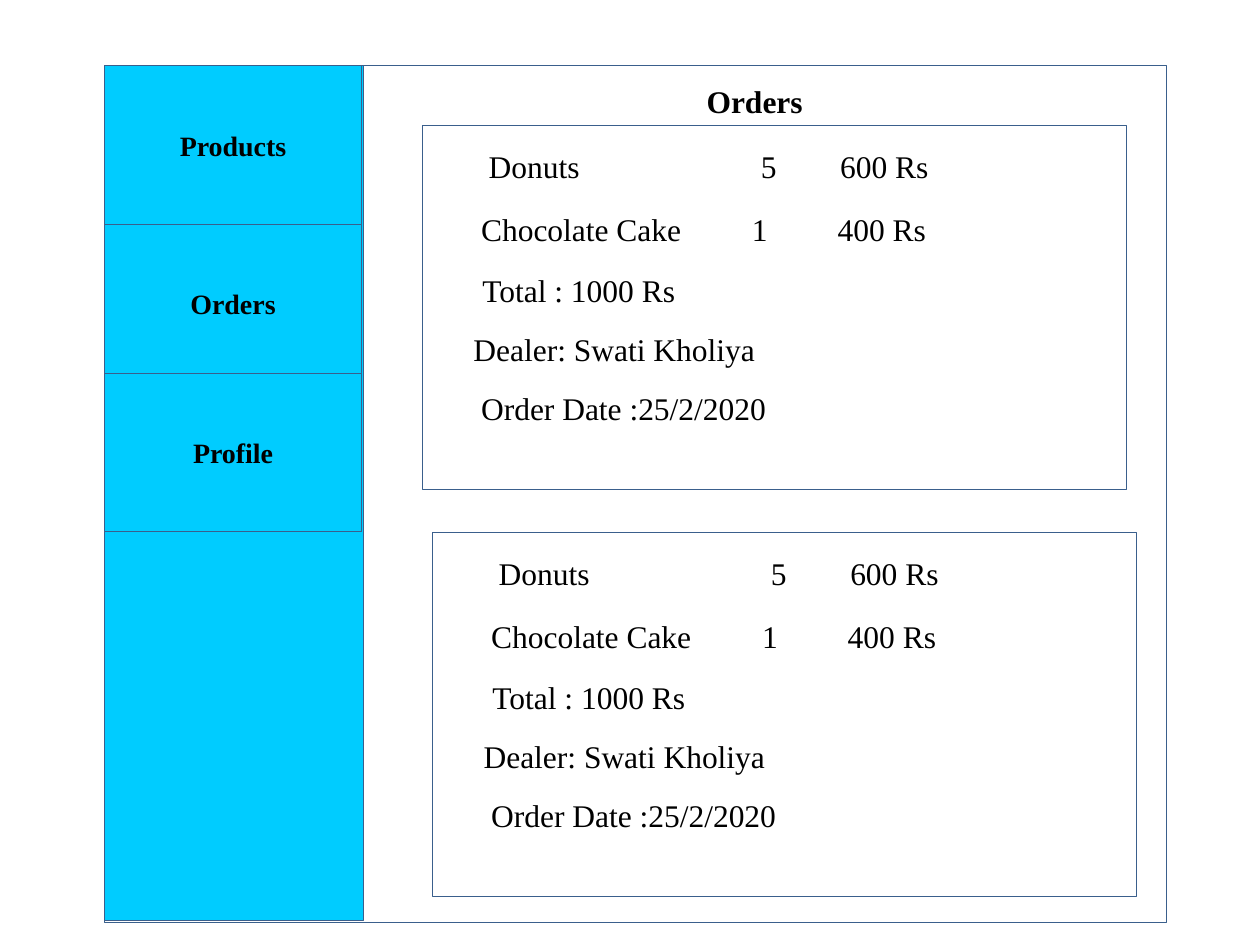
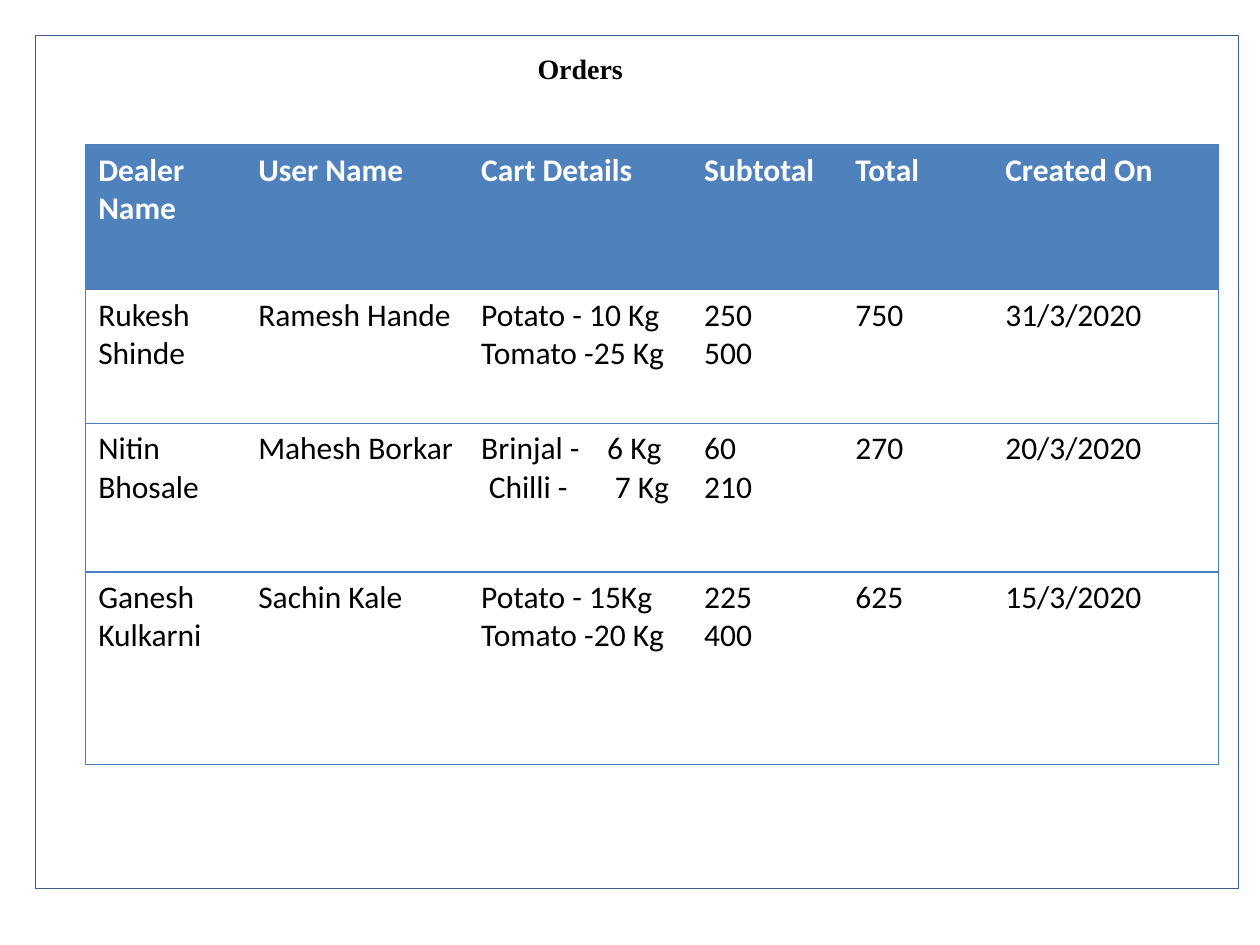
from pptx import Presentation
from pptx.dml.color import RGBColor
from pptx.enum import shapes, text
from pptx.oxml.ns import qn
from pptx.util import Inches, Pt
from lxml import etree

COLOURS = {
    "ink": "000000",
    "paper": "FFFFFF",
    "menu": "00CCFF",
    "outline": "3A5F8C",
    "header": "4F81BD",
    "rule": "4B7EBC",
}
SERIF, SANS = "Times New Roman", "Calibri"


def colour(name):
    return RGBColor.from_string(COLOURS[name])


def write(frame, content, size=18, font=SERIF, ink="ink", bold=False,
          align=text.PP_ALIGN.LEFT, anchor=text.MSO_ANCHOR.TOP, tabs=(), indents=()):
    """Fill a text frame, one paragraph per line of content."""
    frame.word_wrap = True
    frame.auto_size = text.MSO_AUTO_SIZE.NONE
    frame.vertical_anchor = anchor
    for number, line in enumerate(content.split("\n")):
        para = frame.paragraphs[0] if number == 0 else frame.add_paragraph()
        para.alignment = align
        properties = para._p.get_or_add_pPr()
        if number < len(indents):
            properties.set("marL", str(Inches(indents[number])))
            properties.set("indent", "0")
        if tabs:
            stops = etree.SubElement(properties, qn("a:tabLst"))
            for stop in tabs:
                etree.SubElement(stops, qn("a:tab"), pos=str(Inches(stop)), algn="l")
        span = para.add_run()
        span.text = line
        span.font.name, span.font.size, span.font.bold = font, Pt(size), bold
        span.font.color.rgb = colour(ink)


class Deck:
    def __init__(self):
        self.file = Presentation()
        self.file.slide_width, self.file.slide_height = Inches(10), Inches(7.5)
        self.page = None

    def add_page(self):
        self.page = self.file.slides.add_slide(self.file.slide_layouts[5])

    def title(self, content, left, top, width, height, size):
        box = self.page.shapes.title
        box.left, box.top = Inches(left), Inches(top)
        box.width, box.height = Inches(width), Inches(height)
        write(box.text_frame, content, size=size, bold=True, align=text.PP_ALIGN.CENTER)

    def panel(self, left, top, width, height, fill=None, label=None):
        box = self.page.shapes.add_shape(
            shapes.MSO_SHAPE.RECTANGLE,
            Inches(left), Inches(top), Inches(width), Inches(height))
        box.shadow.inherit = False
        if fill:
            box.fill.solid()
            box.fill.fore_color.rgb = colour(fill)
        else:
            box.fill.background()
        box.line.color.rgb = colour("outline")
        box.line.width = Pt(0.25)
        if label:
            write(box.text_frame, label, size=16, bold=True,
                  align=text.PP_ALIGN.CENTER, anchor=text.MSO_ANCHOR.MIDDLE)

    def label(self, content, left, top, width, height=0.4, **style):
        box = self.page.shapes.add_textbox(
            Inches(left), Inches(top), Inches(width), Inches(height))
        write(box.text_frame, content, **style)

    def order_card(self, left, top, lines):
        self.panel(left, top, 5.59, 2.89, fill="paper")
        for content, across, down, tabs in lines:
            self.label(content, left + across, top + down, 4.64, tabs=tabs)

    def cell_borders(self, cell, drawn):
        properties = cell._tc.get_or_add_tcPr()
        for side in "LRTB":
            line = etree.SubElement(properties, qn("a:ln" + side), w=str(Pt(0.75)))
            if side in drawn:
                fill = etree.SubElement(line, qn("a:solidFill"))
                etree.SubElement(fill, qn("a:srgbClr"), val=COLOURS["rule"])
            else:
                etree.SubElement(line, qn("a:noFill"))

    def table(self, rows, left, top, widths, heights, formats):
        table = self.page.shapes.add_table(
            len(rows), len(widths), Inches(left), Inches(top),
            Inches(sum(widths)), Inches(sum(heights))).table
        table.first_row = table.horz_banding = False
        for column, width in zip(table.columns, widths):
            column.width = Inches(width)
        for r, row in enumerate(rows):
            table.rows[r].height = Inches(heights[r])
            for c, content in enumerate(row):
                cell = table.cell(r, c)
                outer = {0: "L", len(row) - 1: "R"}.get(c, "")
                self.cell_borders(cell, "TB" + outer)
                cell.fill.solid()
                cell.fill.fore_color.rgb = colour("paper" if r else "header")
                write(cell.text_frame, content, font=SANS, bold=r == 0,
                      ink="ink" if r else "paper", **formats.get((r, c), {}))


def dealer_app(deck):
    deck.add_page()
    # Window and side menu
    deck.panel(0.83, 0.52, 8.43, 6.8)
    deck.panel(0.83, 0.52, 2.05, 6.78, fill="menu")
    for name, top in (("Products", 0.52), ("Orders", 1.78), ("Profile", 2.96)):
        deck.panel(0.83, top, 2.04, 1.26, fill="menu", label=name)
    deck.title("Orders", 5.08, 0.6, 1.82, 0.4, size=18)

    # Order cards: text, offset across and down, column stops
    lines = [
        ("Donuts\t5\t600 Rs", 0.43, 0.13, (2.16, 2.79)),
        ("Chocolate Cake\t1\t400 Rs", 0.37, 0.63, (2.15, 2.83)),
        ("Total : 1000 Rs", 0.38, 1.11, ()),
        ("Dealer: Swati Kholiya", 0.31, 1.58, ()),
        ("Order Date :25/2/2020", 0.37, 2.05, ()),
    ]
    for left, top in ((3.35, 0.99), (3.43, 4.22)):
        deck.order_card(left, top, lines)


def order_list(deck):
    deck.add_page()
    deck.title("Orders", 2.95, 0.36, 3.31, 0.37, size=16)
    # Order table
    rows = [
        ("Dealer\nName", "User Name", "Cart Details", "Subtotal", "Total", "Created On"),
        ("Rukesh Shinde", "Ramesh Hande", "Potato - 10 Kg\nTomato -25 Kg",
         "250\n500", "750", "31/3/2020"),
        ("Nitin Bhosale", "Mahesh Borkar", "Brinjal -\t6 Kg\nChilli -\t7 Kg",
         "60\n210", "270", "20/3/2020"),
        ("Ganesh Kulkarni", "Sachin Kale", "Potato - 15Kg\nTomato -20 Kg",
         "225\n400", "625", "15/3/2020"),
    ]
    deck.table(rows, 0.68, 1.15,
               widths=(1.27, 1.77, 1.77, 1.2, 1.19, 1.79),
               heights=(1.15, 1.06, 1.18, 1.53),
               formats={(2, 2): {"tabs": (0.9,), "indents": (0, 0.06)}})
    # Window
    deck.panel(0.28, 0.28, 9.55, 6.77)


def main():
    deck = Deck()
    dealer_app(deck)
    order_list(deck)
    deck.file.save("out.pptx")


if __name__ == "__main__":
    main()
